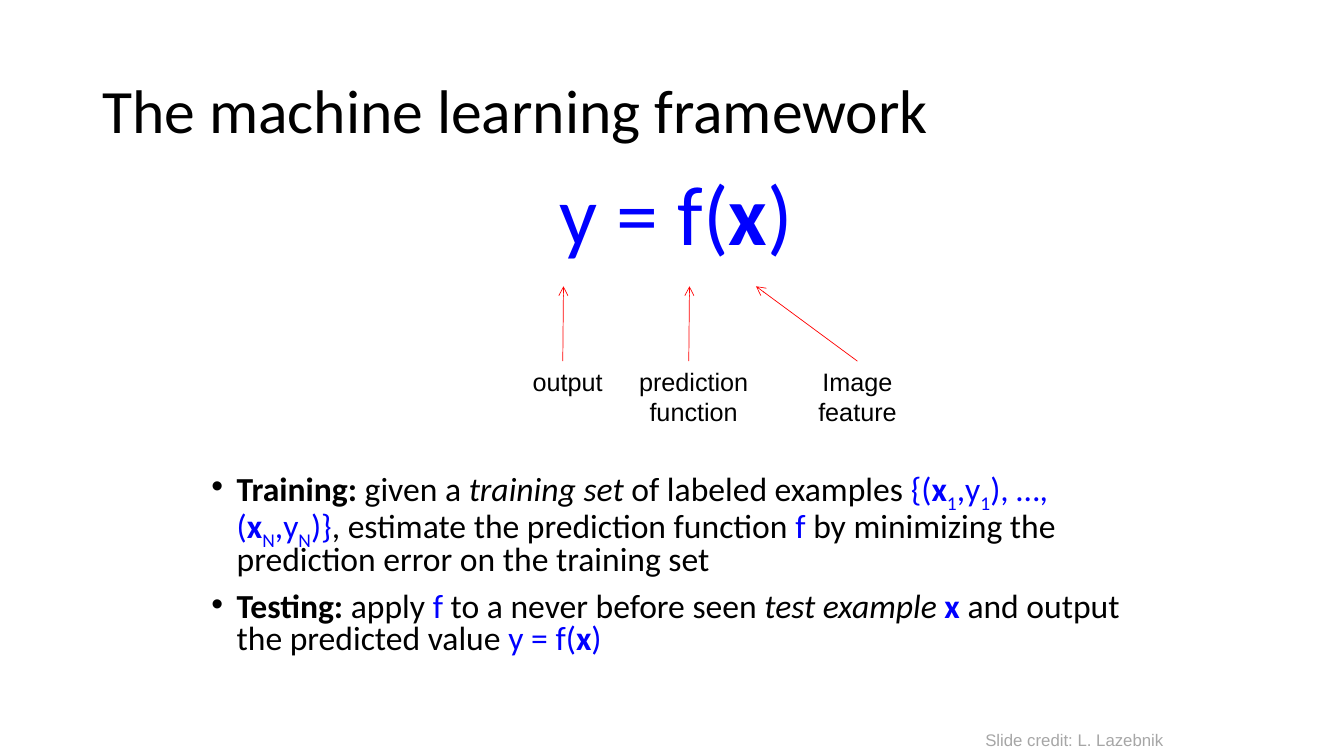
from lxml import etree
from pptx import Presentation
from pptx.dml.color import RGBColor
from pptx.enum import shapes, text
from pptx.oxml import ns
from pptx.util import Pt

COLORS = {"black": "000000", "blue": "0000FF", "red": "FF0000", "gray": "A6A6A6"}
CENTER = text.PP_ALIGN.CENTER


def add_box(slide, box, wrap=True, anchor=text.MSO_ANCHOR.TOP):
    shape = slide.shapes.add_textbox(*map(Pt, box))
    shape.text_frame.word_wrap = wrap
    shape.text_frame.vertical_anchor = anchor
    return shape


def add_runs(paragraph, runs, size, font="Calibri"):
    """Add (text, color, style) runs; style letters: b bold, i italic, s subscript."""
    for words, color, style in runs:
        run = paragraph.add_run()
        run.text = words
        run.font.name = font
        run.font.size = Pt(size)
        run.font.bold = "b" in style
        run.font.italic = "i" in style
        run.font.color.rgb = RGBColor.from_string(COLORS[color])
        if "s" in style:
            run.font._element.set("baseline", "-25000")


def add_title(slide, box):
    shape = add_box(slide, box, anchor=text.MSO_ANCHOR.MIDDLE)
    paragraph = shape.text_frame.paragraphs[0]
    paragraph.line_spacing = 0.9
    add_runs(paragraph, [("The machine learning framework", "black", "")], 44)


def add_formula(slide, box):
    paragraph = add_box(slide, box).text_frame.paragraphs[0]
    paragraph.alignment = CENTER
    paragraph.line_spacing = 0.8
    add_runs(paragraph, [("y = f(", "blue", ""), ("x", "blue", "b"), (")", "blue", "")], 60)


def add_label(slide, words, box, wrap=True, size=18, color="black"):
    shape = add_box(slide, box, wrap)
    paragraph = shape.text_frame.paragraphs[0]
    paragraph.alignment = CENTER
    add_runs(paragraph, [(words, color, "")], size, "Arial")
    return shape


def add_arrow(slide, start, end):
    arrow = slide.shapes.add_connector(
        shapes.MSO_CONNECTOR.STRAIGHT, *map(Pt, (*start, *end)))
    arrow.line.color.rgb = RGBColor.from_string(COLORS["red"])
    arrow.line.width = Pt(0.5)
    etree.SubElement(arrow.line._get_or_add_ln(), ns.qn("a:tailEnd"), type="arrow")
    etree.SubElement(arrow._element.spPr, ns.qn("a:effectLst"))
    return arrow


def add_annotations(slide, box):
    """Place arrows in the upper part of the box and their labels below."""
    left, top, _, height = box
    arrow_height = 53.5
    label_top = top + arrow_height
    # words, label left and width, arrow start and end, wrap
    parts = [
        ("output", 0, 65, 29, 29.5, False),
        ("prediction function", 48, 149, 119, 119.5, True),
        ("Image feature", 180, 119, 239.5, 167, True),
    ]
    for words, offset, width, start, end, wrap in parts:
        label = add_label(
            slide, words, (left + offset, label_top, width, height - arrow_height), wrap)
        arrow = add_arrow(slide, (left + start, label_top), (left + end, top))
        if abs(offset + width / 2 - start) < 1:
            arrow.begin_connect(label, 0)


def add_bullets(slide, box):
    training = [
        ("Training: ", "black", "b"), ("given a ", "black", ""),
        ("training set ", "black", "i"), ("of labeled examples ", "black", ""),
        ("{(", "blue", ""), ("x", "blue", "b"), ("1", "blue", "s"),
        (",y", "blue", ""), ("1", "blue", "s"), ("), …, (", "blue", ""),
        ("x", "blue", "b"), ("N", "blue", "s"), (",y", "blue", ""),
        ("N", "blue", "s"), (")}", "blue", ""),
        (", estimate the prediction function ", "black", ""), ("f ", "blue", ""),
        ("by minimizing the prediction error on the training set", "black", ""),
    ]
    testing = [
        ("Testing:", "black", "b"), (" apply ", "black", ""), ("f", "blue", ""),
        (" to a never before seen ", "black", ""), ("test example ", "black", "i"),
        ("x", "blue", "b"), (" and output the predicted value ", "black", ""),
        ("y = f(", "blue", ""), ("x", "blue", "b"), (")", "blue", ""),
    ]
    frame = add_box(slide, box).text_frame
    for index, runs in enumerate((training, testing)):
        paragraph = frame.add_paragraph() if index else frame.paragraphs[0]
        paragraph.line_spacing = 0.8
        paragraph.space_before = Pt(10 * index)
        properties = paragraph._p.get_or_add_pPr()
        properties.set("marL", str(Pt(18)))
        properties.set("indent", str(Pt(-18)))
        etree.SubElement(properties, ns.qn("a:buFont"), typeface="Arial")
        etree.SubElement(properties, ns.qn("a:buChar"), char="•")
        add_runs(paragraph, runs, 24)


def main():
    presentation = Presentation()
    presentation.slide_width, presentation.slide_height = Pt(960), Pt(540)
    slide = presentation.slides.add_slide(presentation.slide_layouts[6])
    add_title(slide, (66, 29, 828, 104))
    add_formula(slide, (144, 126, 678, 70))
    add_annotations(slide, (373, 204.5, 299, 104.5))
    add_bullets(slide, (144, 334, 678, 148))
    add_label(slide, "Slide credit: L. Lazebnik", (696, 518, 143, 22), False, 12, "gray")
    presentation.save("out.pptx")


if __name__ == "__main__":
    main()
